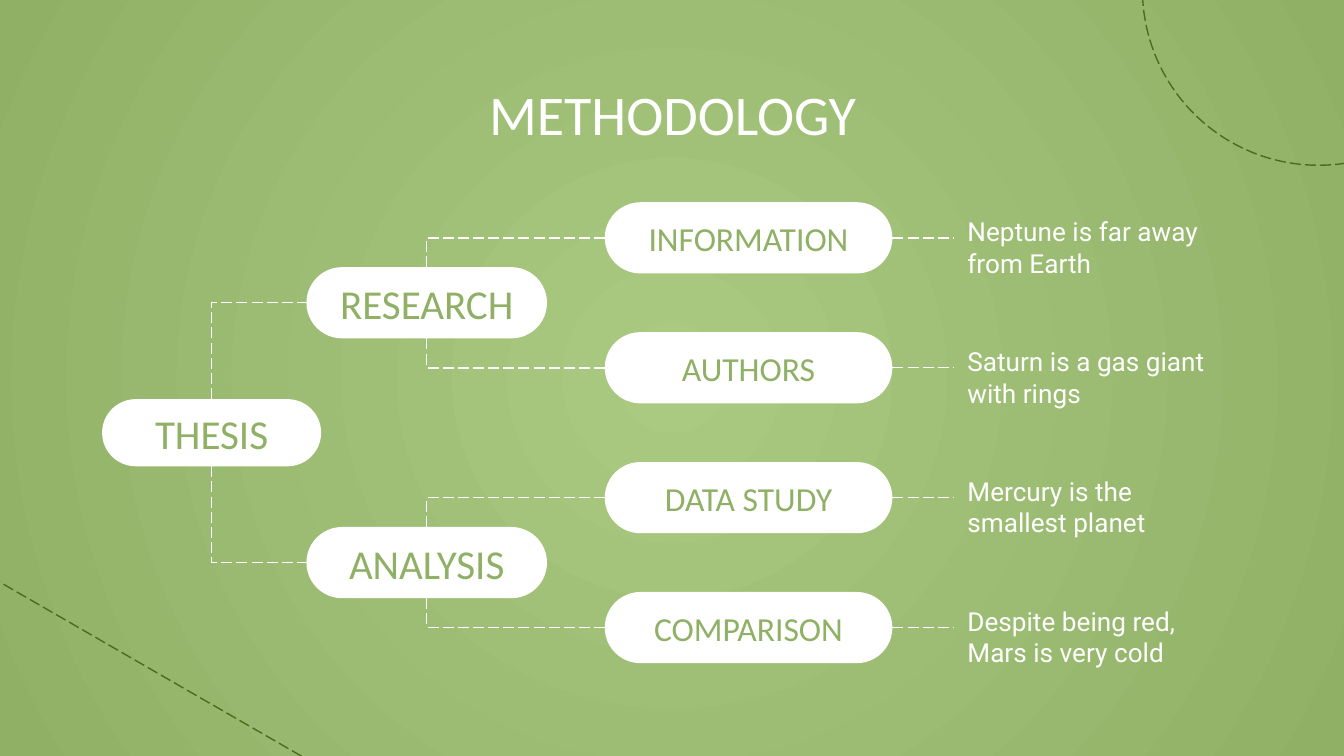
from lxml import etree
from pptx import Presentation
from pptx.dml.color import RGBColor
from pptx.enum.dml import MSO_LINE
from pptx.enum.shapes import MSO_CONNECTOR, MSO_SHAPE
from pptx.enum.text import MSO_ANCHOR, PP_ALIGN
from pptx.oxml.ns import qn
from pptx.util import Inches, Pt

STRAIGHT, ELBOW = MSO_CONNECTOR.STRAIGHT, MSO_CONNECTOR.ELBOW
PILL, ELLIPSE = MSO_SHAPE.ROUNDED_RECTANGLE, MSO_SHAPE.OVAL
LONG_DASH = MSO_LINE.LONG_DASH
TOP, MIDDLE = MSO_ANCHOR.TOP, MSO_ANCHOR.MIDDLE
LEFT, CENTER = PP_ALIGN.LEFT, PP_ALIGN.CENTER

WHITE = RGBColor(0xFF, 0xFF, 0xFF)
LIGHT_GREEN = RGBColor(0xAA, 0xC9, 0x81)
GREEN = RGBColor(0x8F, 0xB0, 0x65)
DARK_GREEN = RGBColor(0x49, 0x6D, 0x1C)

TREE = [
    ("RESEARCH", [("INFORMATION", "Neptune is far away from Earth"),
                  ("AUTHORS", "Saturn is a gas giant with rings")]),
    ("ANALYSIS", [("DATA STUDY", "Mercury is the smallest planet"),
                  ("COMPARISON", "Despite being red, Mars is very cold")]),
]
SLIDE_WIDTH = 10
ROOT_LEFT, ROOT_WIDTH, ROOT_HEIGHT = 0.76, 1.63, 0.5
BRANCH_LEFT, BRANCH_WIDTH = 2.28, 1.79
LEAF_LEFT, LEAF_WIDTH = 4.5, 2.14
NOTE_LEFT, NOTE_WIDTH = 7.1, 2.14
PILL_HEIGHT = 0.53
FIRST_ROW, LAST_ROW = 1.77, 4.67  # centre heights of the outer leaves
ROW_STEP = (LAST_ROW - FIRST_ROW) / 3


def add_text(text, left, top, width, height, size, font="Calibri", color=WHITE,
             align=CENTER, anchor=TOP, pill=False, space_after=0):
    """Add a text box, or a white pill holding the text."""
    box = [Inches(value) for value in (left, top, width, height)]
    if pill:
        holder = slide.shapes.add_shape(PILL, *box)
        holder.adjustments[0] = 0.5
        holder.shadow.inherit = False
        holder.fill.solid()
        holder.fill.fore_color.rgb = WHITE
        holder.line.fill.background()
    else:
        holder = slide.shapes.add_textbox(*box)
    frame = holder.text_frame
    frame.word_wrap = True
    frame.vertical_anchor = anchor
    frame.margin_left = frame.margin_right = Inches(0.1)
    frame.margin_top = frame.margin_bottom = Inches(0.1)
    paragraph = frame.paragraphs[0]
    paragraph.alignment = align
    paragraph.space_after = Pt(space_after)
    run = paragraph.add_run()
    run.text = text
    run.font.name = font
    run.font.size = Pt(size)
    run.font.color.rgb = color


def add_link(start, end, color=WHITE, kind=STRAIGHT):
    """Add a dashed connector; an elbow runs vertically first."""
    link = slide.shapes.add_connector(kind, *[Inches(v) for v in (*start, *end)])
    link.line.color.rgb = color
    link.line.width = Pt(0.75)
    link.line.dash_style = LONG_DASH
    properties = link._element.spPr
    etree.SubElement(properties, qn("a:effectLst"))
    if kind == ELBOW:
        guides = properties.find(qn("a:prstGeom")).find(qn("a:avLst"))
        etree.SubElement(guides, qn("a:gd"), name="adj1", fmla="val 0")


prs = Presentation()
prs.slide_width, prs.slide_height = Inches(SLIDE_WIDTH), Inches(SLIDE_WIDTH * 9 / 16)
slide = prs.slides.add_slide(prs.slide_layouts[6])

# Background: light centre fading outwards
background = slide.background.fill
background.gradient()
for stop, position, color in zip(background.gradient_stops, (0, 1), (LIGHT_GREEN, GREEN)):
    stop.position = position
    stop.color.rgb = color
gradient = slide._element.find(".//" + qn("a:gradFill"))
gradient.remove(gradient.find(qn("a:lin")))
radial = etree.SubElement(gradient, qn("a:path"), path="circle")
etree.SubElement(radial, qn("a:fillToRect"), l="50000", t="50000", r="50000", b="50000")

# Corner decoration
add_link((7.12, 8.44), (-2.76, 2.74), color=DARK_GREEN)
orbit = slide.shapes.add_shape(ELLIPSE, Inches(8.5), Inches(-1.39), Inches(2.62), Inches(2.62))
orbit.shadow.inherit = False
orbit.fill.background()
orbit.line.color.rgb = DARK_GREEN
orbit.line.width = Pt(0.75)
orbit.line.dash_style = LONG_DASH

add_text("METHODOLOGY", 0.79, 0.49, 8.43, 0.63, size=30)

# Tree: links start at the top or bottom edge of the parent pill
root_x, root_y = ROOT_LEFT + ROOT_WIDTH / 2, (FIRST_ROW + LAST_ROW) / 2
branch_x = BRANCH_LEFT + BRANCH_WIDTH / 2
for b, (branch, leaves) in enumerate(TREE):
    branch_y = FIRST_ROW + (2 * b + 0.5) * ROW_STEP
    root_edge = root_y + (b - 0.5) * ROOT_HEIGHT
    add_link((root_x, root_edge), (BRANCH_LEFT, branch_y), kind=ELBOW)
    add_text(branch, BRANCH_LEFT, branch_y - PILL_HEIGHT / 2, BRANCH_WIDTH, PILL_HEIGHT,
             size=22, color=GREEN, anchor=MIDDLE, pill=True)
    for n, (leaf, note) in enumerate(leaves):
        leaf_y = FIRST_ROW + (2 * b + n) * ROW_STEP
        leaf_top = leaf_y - PILL_HEIGHT / 2
        branch_edge = branch_y + (n - 0.5) * PILL_HEIGHT
        add_link((branch_x, branch_edge), (LEAF_LEFT, leaf_y), kind=ELBOW)
        add_link((LEAF_LEFT + LEAF_WIDTH, leaf_y), (NOTE_LEFT, leaf_y))
        add_text(leaf, LEAF_LEFT, leaf_top, LEAF_WIDTH, PILL_HEIGHT,
                 size=18, color=GREEN, anchor=MIDDLE, pill=True)
        add_text(note, NOTE_LEFT, leaf_top, NOTE_WIDTH, PILL_HEIGHT,
                 size=14, font="Roboto", align=LEFT, space_after=12)
add_text("THESIS", ROOT_LEFT, root_y - ROOT_HEIGHT / 2, ROOT_WIDTH, ROOT_HEIGHT,
         size=22, color=GREEN, anchor=MIDDLE, pill=True)

prs.save("out.pptx")
